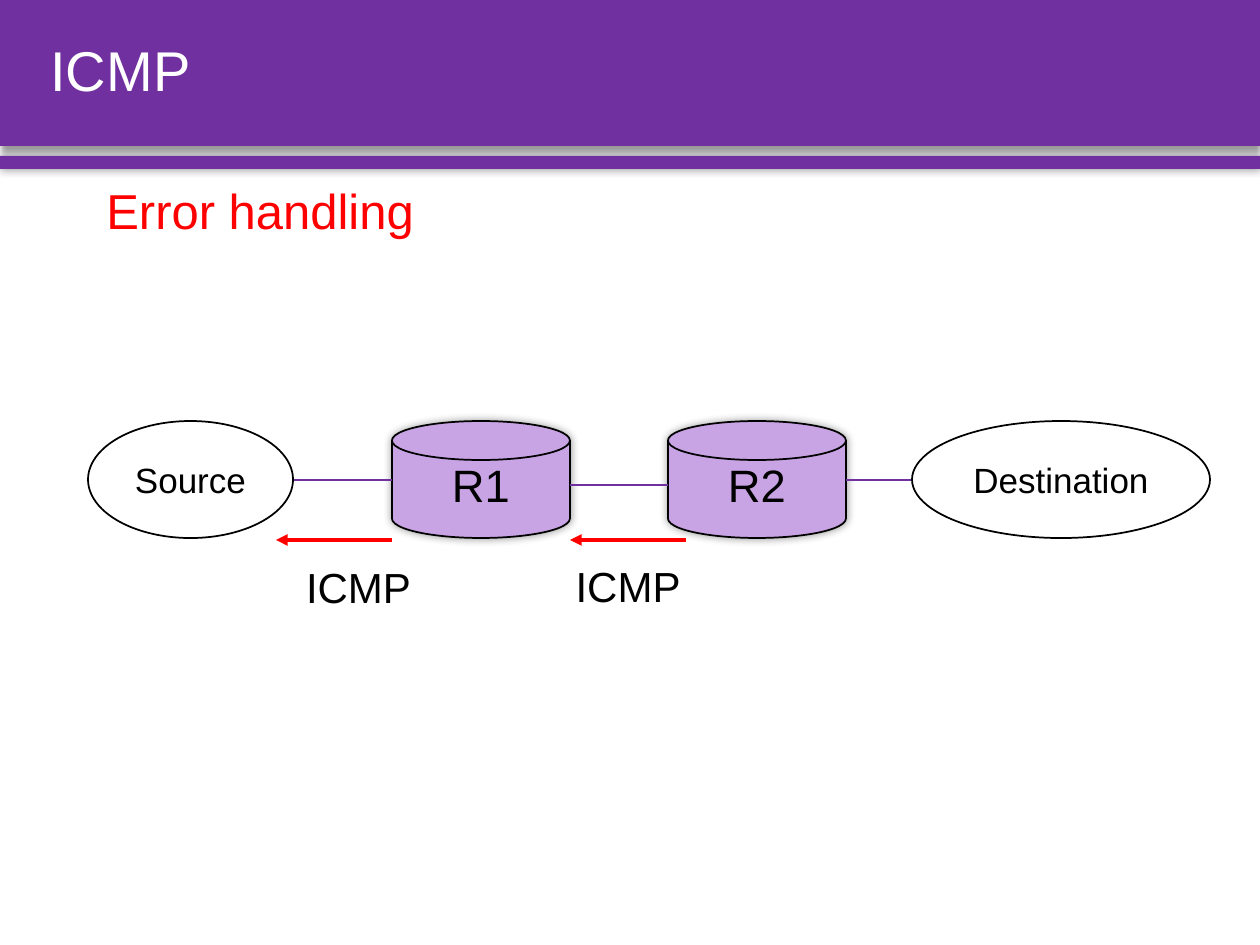
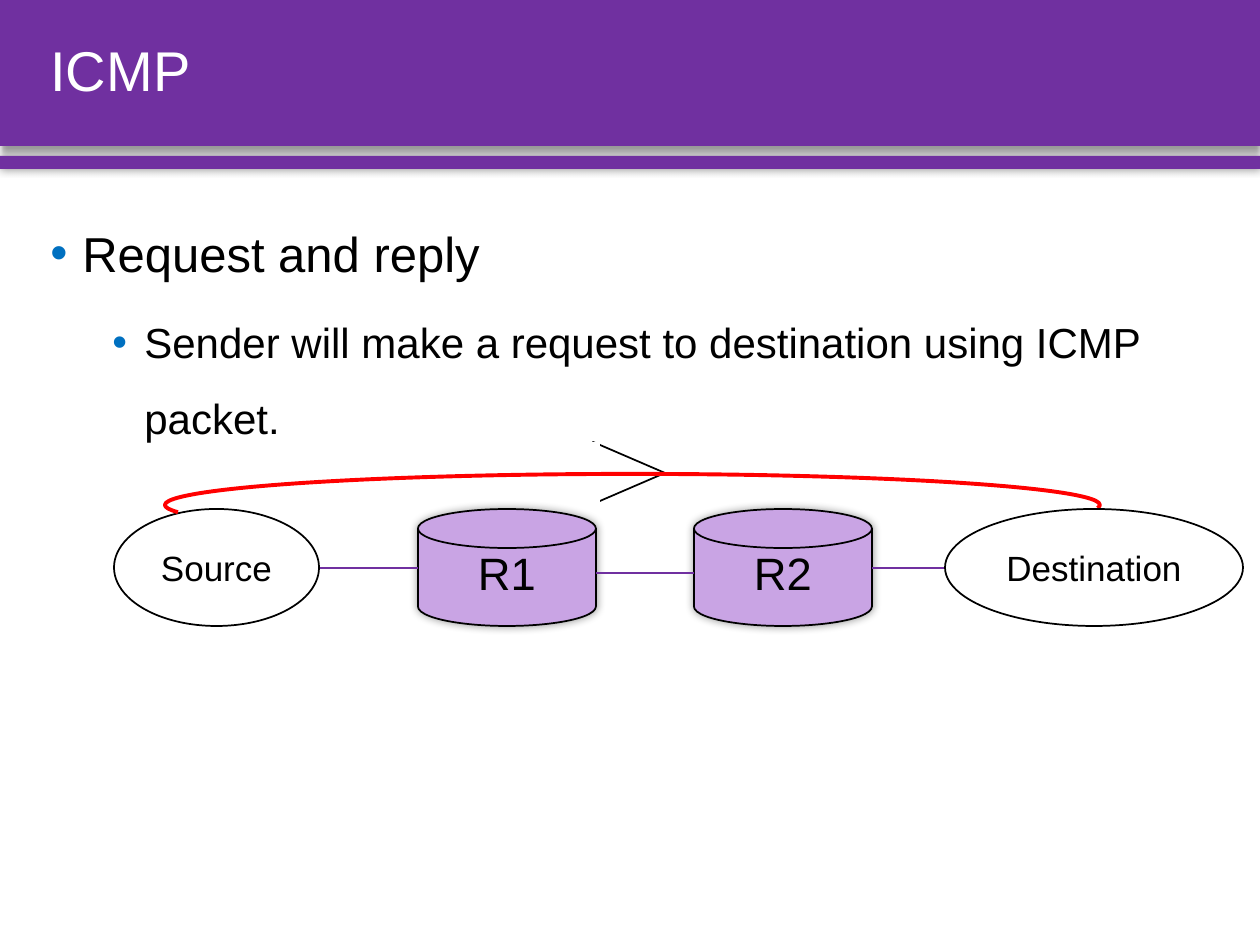
from pptx import Presentation
from pptx.dml.color import RGBColor as Rgb
from pptx.enum.shapes import MSO_CONNECTOR as Link, MSO_SHAPE as Kind
from pptx.enum.text import MSO_ANCHOR as Anchor, PP_ALIGN as Align
from pptx.oxml import parse_xml
from pptx.oxml.ns import nsdecls, qn
from pptx.util import Emu, Pt

SCALE = 914400 / 126
WIDE, HIGH = 1260, 945
PURPLE, LILAC, RED = "7030A0", "C9A4E4", "FF0000"
BLACK, WHITE, BLUE = "000000", "FFFFFF", "0070C0"
NODE = {"fill": WHITE, "line": BLACK}
DISK = {"fill": LILAC, "line": BLACK}
NODE_H, DISK_W, STEP = 117, 178, 276


def px(*nums):
    """Turn pixels into EMU."""
    return [Emu(round(num * SCALE)) for num in nums]


def tint(code):
    """Turn a hex string into a colour."""
    return Rgb.from_string(code)


def put(item, **values):
    """Set each format value on an object."""
    for name, value in values.items():
        setattr(item, name, value)


def make(tag, inner="", **values):
    """Build a drawing element."""
    attrs = " ".join(f'{name}="{value}"' for name, value in values.items())
    return parse_xml(f'<a:{tag} {nsdecls("a")} {attrs}>{inner}</a:{tag}>')


def write(frame, text, size, color=BLACK, first=True, **form):
    """Write one paragraph into a text frame."""
    para = frame.paragraphs[0] if first else frame.add_paragraph()
    put(para, **form)
    run = para.add_run()
    run.text = text
    put(run.font, name="Arial", size=Pt(size))
    run.font.color.rgb = tint(color)
    return para


def label(slide, box, text, size, color=BLACK, wrap=True, anchor=Anchor.MIDDLE, **form):
    """Add a text box holding one paragraph."""
    frame = slide.shapes.add_textbox(*px(*box)).text_frame
    put(frame, word_wrap=wrap, vertical_anchor=anchor)
    write(frame, text, size, color, **form)
    return frame


def form(slide, kind, box, fill=None, line=None, width=1):
    """Add a preset shape with its fill and line."""
    shape = slide.shapes.add_shape(kind, *px(*box))
    shape.shadow.inherit = False
    if fill:
        shape.fill.solid()
        shape.fill.fore_color.rgb = tint(fill)
    else:
        shape.fill.background()
    if line:
        shape.line.color.rgb = tint(line)
        shape.line.width = Pt(width)
    else:
        shape.line.fill.background()
    return shape


def shade(shape, blur, dist=0, angle=0):
    """Give a shape a soft black shadow."""
    color = f'<a:srgbClr val="{BLACK}"><a:alpha val="40000"/></a:srgbClr>'
    glow = make("outerShdw", color, blurRad=Pt(blur), dist=Pt(dist),
                dir=angle * 60000, rotWithShape=0)
    shape.element.spPr.find(qn("a:effectLst")).append(glow)


def wire(slide, start, end, color=PURPLE, width=1.5, arrow=False):
    """Join two points by a line or an arrow."""
    line = slide.shapes.add_connector(Link.STRAIGHT, *px(*start, *end))
    line.line.color.rgb = tint(color)
    line.line.width = Pt(width)
    props = line.element.spPr
    if arrow:
        props.find(qn("a:ln")).append(make("tailEnd", type="triangle"))
    props.append(make("effectLst"))


def node(slide, x, y, width, text):
    """Add a host drawn as an ellipse."""
    shape = form(slide, Kind.OVAL, (x, y, width, NODE_H), **NODE)
    shape.text_frame.word_wrap = True
    write(shape.text_frame, text, 20, alignment=Align.CENTER)


def disk(slide, x, y, text):
    """Add a router drawn as a disk."""
    shape = form(slide, Kind.FLOWCHART_MAGNETIC_DISK, (x, y, DISK_W, NODE_H), **DISK)
    shade(shape, 5)
    write(shape.text_frame, text, 25.9, alignment=Align.CENTER, line_spacing=0.8)


def chain(slide, x, y):
    """Draw the source, both routers and their links."""
    node(slide, x, y, 205, "Source")
    for i, name in enumerate(("R1", "R2")):
        disk(slide, x + 304 + i * STEP, y, name)
    for i, drop in enumerate((59, 64, 59)):
        left = x + 206 + i * STEP
        wire(slide, (left, y + drop), (left + 98, y + drop))


def bullet(frame, text, size, left, **more):
    """Write a paragraph with a blue bullet."""
    para = write(frame, text, size, line_spacing=1.5, **more)
    props = para._p.get_or_add_pPr()
    margin, hang = px(left, -32)
    props.set("marL", str(margin))
    props.set("indent", str(hang))
    props.append(make("buClr", f'<a:srgbClr val="{BLUE}"/>'))
    props.append(make("buFont", typeface="Arial"))
    props.append(make("buChar", char="•"))


def start(deck, title):
    """Add a slide with the bands and its title."""
    slide = deck.slides.add_slide(deck.slide_layouts[6])
    shade(form(slide, Kind.RECTANGLE, (0, 0, WIDE, 146), PURPLE), 4, 3, 90)
    shade(form(slide, Kind.RECTANGLE, (0, 156, WIDE, 13), PURPLE), 5)
    label(slide, (38, 0, 1192, 146), title, 32, WHITE, line_spacing=0.9)
    return slide


def errors(deck):
    """Build the slide on error handling."""
    slide = start(deck, "ICMP")
    chain(slide, 88, 421)
    for tip in (276, 570):
        wire(slide, (tip + 116, 540), (tip, 540), RED, 2.25, True)
    for box in ((543, 549, 181, 73), (252, 551, 224, 71)):
        label(slide, box, "ICMP ", 24, alignment=Align.CENTER)
    label(slide, (86, 181, 348, 67), "Error handling", 28, RED, False, Anchor.TOP,
          alignment=Align.CENTER, line_spacing=0.9)
    node(slide, 912, 421, 298, "Destination")


def request(deck):
    """Build the slide on request and reply."""
    slide = start(deck, "ICMP")
    head = form(slide, Kind.RIGHT_ARROW, (593, 442, 72, 62), line=BLACK)
    head.adjustments[0], head.adjustments[1] = 0.64, 1.16
    form(slide, Kind.RECTANGLE, (586, 442, 14, 67), WHITE)
    frame = slide.shapes.add_textbox(*px(38, 188, 1192, 688)).text_frame
    frame.word_wrap = True
    bullet(frame, "Request and reply", 28, 32)
    bullet(frame, "Sender will make a request to destination using ICMP packet.",
           24, 94, first=False, level=1, space_before=Pt(5))
    chain(slide, 114, 509)
    arc = form(slide, Kind.ARC, (165, 474, 935, 62), line=RED, width=2.25)
    arc.adjustments[0], arc.adjustments[1] = 107.45, 0.23
    node(slide, 945, 509, 298, "Destination")


def main():
    """Build and save the deck."""
    deck = Presentation()
    deck.slide_width, deck.slide_height = px(WIDE, HIGH)
    errors(deck)
    request(deck)
    deck.save("out.pptx")


if __name__ == "__main__":
    main()
